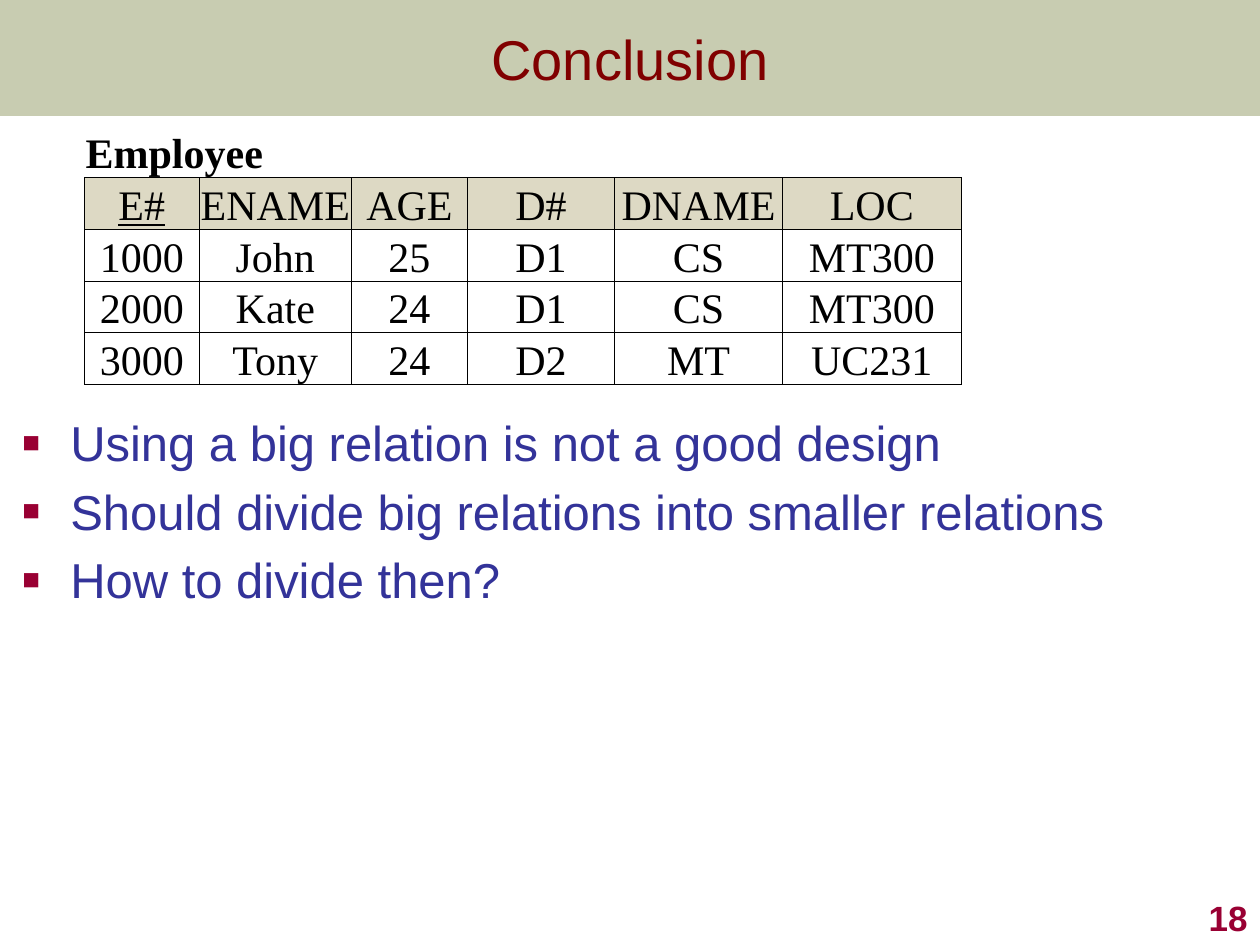
from lxml.etree import SubElement
from pptx import Presentation
from pptx.dml.color import RGBColor
from pptx.enum.shapes import MSO_SHAPE
from pptx.enum.text import MSO_ANCHOR, PP_ALIGN
from pptx.oxml import parse_xml
from pptx.oxml.ns import nsdecls, qn
from pptx.util import Inches, Pt

WIDE, HIGH = Inches(10), Inches(7.5)
INK = {
    "band": "677228", "title": "800000", "body": "333399", "mark": "990033",
    "head": "DDD9C4", "cell": "FFFFFF", "line": "000000",
}
COLS = [0.91, 1.21, 0.92, 1.17, 1.33, 1.42]
ROW = 0.36
NAME = "Employee"
ROWS = [
    ["E#", "ENAME", "AGE", "D#", "DNAME", "LOC"],
    ["1000", "John", "25", "D1", "CS", "MT300"],
    ["2000", "Kate", "24", "D1", "CS", "MT300"],
    ["3000", "Tony", "24", "D2", "MT", "UC231"],
]
POINTS = [
    "Using a big relation is not a good design",
    "Should divide big relations into smaller relations",
    "How to divide then?",
]


def share(left, top, width, height):
    """Turn shares of the slide's size into a box of lengths."""
    return [round(part * side) for part, side in
            zip((left, top, width, height), (WIDE, HIGH) * 2)]


def rgb(key):
    return RGBColor.from_string(INK[key])


def write(para, text, size, color, face="Arial", bold=False, align=None):
    para.alignment = align
    run = para.add_run()
    run.text = text
    font = run.font
    font.size, font.name, font.bold = Pt(size), face, bold
    font.color.rgb = rgb(color)
    return run


def add_title(slide, box):
    band = slide.shapes.add_shape(MSO_SHAPE.RECTANGLE, *box)
    band.shadow.inherit = False
    band.fill.solid()
    band.fill.fore_color.rgb = rgb("band")
    tint = band.fill._xPr.find(".//" + qn("a:srgbClr"))
    SubElement(tint, qn("a:alpha"), val="36000")
    band.line.fill.background()
    title = slide.shapes.title
    title.left, title.top, title.width, title.height = box
    title._element.addprevious(band._element)
    frame = title.text_frame
    frame.vertical_anchor = MSO_ANCHOR.MIDDLE
    write(frame.paragraphs[0], "Conclusion", 32, "title", align=PP_ALIGN.CENTER)


def add_edges(cell, sides):
    props = cell._tc.get_or_add_tcPr()
    for spot, side in enumerate("LRTB"):
        paint = (f'<a:solidFill><a:srgbClr val="{INK["line"]}"/></a:solidFill>'
                 if side in sides else "<a:noFill/>")
        props.insert(spot, parse_xml(
            f'<a:ln{side} {nsdecls("a")} w="{Pt(0.5)}">{paint}</a:ln{side}>'))


def fill_cell(cell, text, color, sides, **style):
    cell.fill.solid()
    cell.fill.fore_color.rgb = rgb(color)
    cell.vertical_anchor = MSO_ANCHOR.BOTTOM
    cell.margin_left = cell.margin_right = cell.margin_top = Inches(0.01)
    cell.margin_bottom = 0
    add_edges(cell, sides)
    if text:
        return write(cell.text_frame.paragraphs[0], text, 24, "line",
                     "Times New Roman", **style)


def add_grid(slide, box):
    table = slide.shapes.add_table(len(ROWS) + 1, len(COLS), *box).table
    table.first_row = table.horz_banding = False
    for col, width in zip(table.columns, COLS):
        col.width = Inches(width)
    for row in table.rows:
        row.height = Inches(ROW)
    table.cell(0, 0).merge(table.cell(0, len(COLS) - 1))
    for col in range(len(COLS)):
        fill_cell(table.cell(0, col), "" if col else NAME, "cell", "B", bold=True)
    for row, texts in enumerate(ROWS, 1):
        for col, text in enumerate(texts):
            run = fill_cell(table.cell(row, col), text,
                            "head" if row == 1 else "cell", "LRTB",
                            align=PP_ALIGN.CENTER)
            if (row, col) == (1, 0):
                run.font.underline = True


def add_bullet(para):
    props = para._p.get_or_add_pPr()
    props.set("marL", str(Inches(0.38)))
    props.set("indent", str(Inches(-0.38)))
    gap = SubElement(props, qn("a:spcBef"))
    SubElement(gap, qn("a:spcPct"), val="20000")
    tint = SubElement(props, qn("a:buClr"))
    SubElement(tint, qn("a:srgbClr"), val=INK["mark"])
    SubElement(props, qn("a:buSzPct"), val="60000")
    SubElement(props, qn("a:buFont"), typeface="Arial")
    SubElement(props, qn("a:buChar"), char="■")


def add_frame(slide, box):
    frame = slide.shapes.add_textbox(*box).text_frame
    frame.word_wrap = True
    return frame


def add_points(slide, box):
    frame = add_frame(slide, box)
    frame.margin_right = 0
    for spot, text in enumerate(POINTS):
        para = frame.add_paragraph() if spot else frame.paragraphs[0]
        write(para, text, 28, "body")
        add_bullet(para)


def add_page(slide, box):
    frame = add_frame(slide, box)
    frame.vertical_anchor = MSO_ANCHOR.BOTTOM
    write(frame.paragraphs[0], "18", 20, "mark", bold=True, align=PP_ALIGN.RIGHT)


def main():
    deck = Presentation()
    deck.slide_width, deck.slide_height = WIDE, HIGH
    slide = deck.slides.add_slide(deck.slide_layouts[5])
    add_title(slide, share(0, 0, 1, 0.92 / 7.5))
    add_points(slide, share(0.008, 0.43, 0.91, 0.23))
    add_page(slide, share(0.79, 14 / 15, 0.21, 1 / 15))
    add_grid(slide, share(0.067, 2 / 15, 0.7, 0.24))
    deck.save("out.pptx")


if __name__ == "__main__":
    main()
